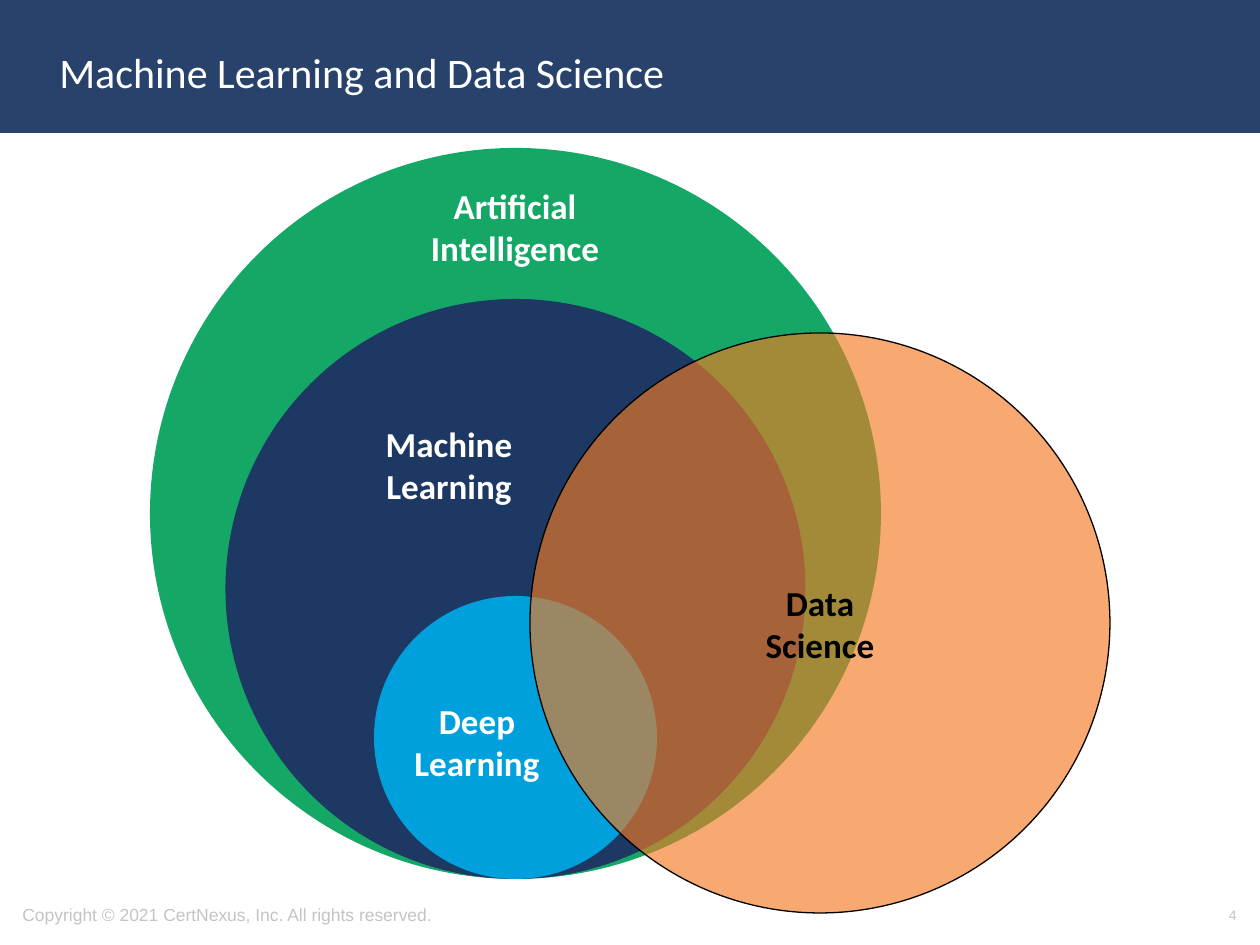
from pptx import Presentation
from pptx.dml.color import RGBColor
from pptx.enum.shapes import MSO_SHAPE
from pptx.enum.text import MSO_ANCHOR, PP_ALIGN
from pptx.oxml.ns import qn
from pptx.util import Pt
from lxml.etree import SubElement
from dataclasses import dataclass

EMU_PER_PX = 914400 / 126


@dataclass(frozen=True)
class Theme:
    heading_font: str = "Calibri"
    footer_font: str = "Arial"
    title_size: int = 24
    label_size: int = 20
    copyright_size: int = 10
    number_size: int = 8
    band: str = "28426C"
    white: str = "FFFFFF"
    black: str = "000000"
    gray: str = "C4C4C4"
    green: str = "15A766"
    navy: str = "1C3863"
    sky: str = "00A0DD"
    orange: str = "F47A21"


THEME = Theme()


def px(n):
    return round(n * EMU_PER_PX)


def add_shape(s, kind, box, fill, line=None, line_width=0.75, alpha=None):
    sp = s.shapes.add_shape(kind, *map(px, box))
    sp.shadow.inherit = False
    sp.fill.solid()
    sp.fill.fore_color.rgb = RGBColor.from_string(fill)
    if alpha is not None:
        color = sp.fill._xPr.find(qn("a:solidFill"))[0]
        SubElement(color, qn("a:alpha")).set("val", str(alpha * 1000))
    if line:
        sp.line.color.rgb = RGBColor.from_string(line)
        sp.line.width = Pt(line_width)
    else:
        sp.line.fill.background()
    return sp


def add_text(s, box, text, font, size, color, bold=False,
             align=PP_ALIGN.LEFT, anchor=MSO_ANCHOR.MIDDLE):
    tf = s.shapes.add_textbox(*map(px, box)).text_frame
    tf.word_wrap = True
    tf.vertical_anchor = anchor
    p = tf.paragraphs[0]
    p.alignment = align
    r = p.add_run()
    r.text = text
    r.font.name = font
    r.font.size = Pt(size)
    r.font.bold = bold
    r.font.color.rgb = RGBColor.from_string(color)
    return tf


def add_header(s, x, y, w, h):
    add_shape(s, MSO_SHAPE.RECTANGLE, (x, y, w, h), THEME.band, THEME.band, 2)
    add_text(s, (x + 47, y + 14, 1086, 116), "Machine Learning and Data Science",
             THEME.heading_font, THEME.title_size, THEME.white)


def add_footer(s, x, y, w, h):
    add_text(s, (x, y, 664, h),
             "Copyright © 2021 CertNexus, Inc. All rights reserved.",
             THEME.footer_font, THEME.copyright_size, THEME.gray)
    add_text(s, (x + w - 294, y, 294, h), "4", THEME.footer_font,
             THEME.number_size, THEME.gray, align=PP_ALIGN.RIGHT)


def add_venn(s, x, y, size):
    # Nested circles share a centre line and touch at the bottom
    for d, fill in ((size, THEME.green), (580, THEME.navy), (283, THEME.sky)):
        box = (x + (size - d) / 2, y + size - d, d, d)
        add_shape(s, MSO_SHAPE.OVAL, box, fill)

    # Overlapping translucent circle
    add_shape(s, MSO_SHAPE.OVAL, (x + 380, y + 185, 580, 580), THEME.orange,
              line=THEME.black, alpha=64)

    # Labels
    for dx, dy, text, color in (
        (196, 268, "Machine Learning", THEME.white),
        (224, 545, "Deep Learning", THEME.white),
        (262, 30, "Artificial Intelligence", THEME.white),
        (567, 427, "Data Science", THEME.black),
    ):
        tf = add_text(s, (x + dx, y + dy, 206, 97), text, THEME.heading_font,
                      THEME.label_size, color, bold=True,
                      align=PP_ALIGN.CENTER, anchor=MSO_ANCHOR.TOP)
        tf.margin_left = tf.margin_right = px(16)


def main():
    prs = Presentation()
    prs.slide_width, prs.slide_height = px(1260), px(945)
    s = prs.slides.add_slide(prs.slide_layouts[6])
    add_header(s, 0, 0, 1260, 131)
    add_footer(s, 10, 890, 1239, 50)
    add_venn(s, 150, 148, 731)
    prs.save("out.pptx")


if __name__ == "__main__":
    main()
